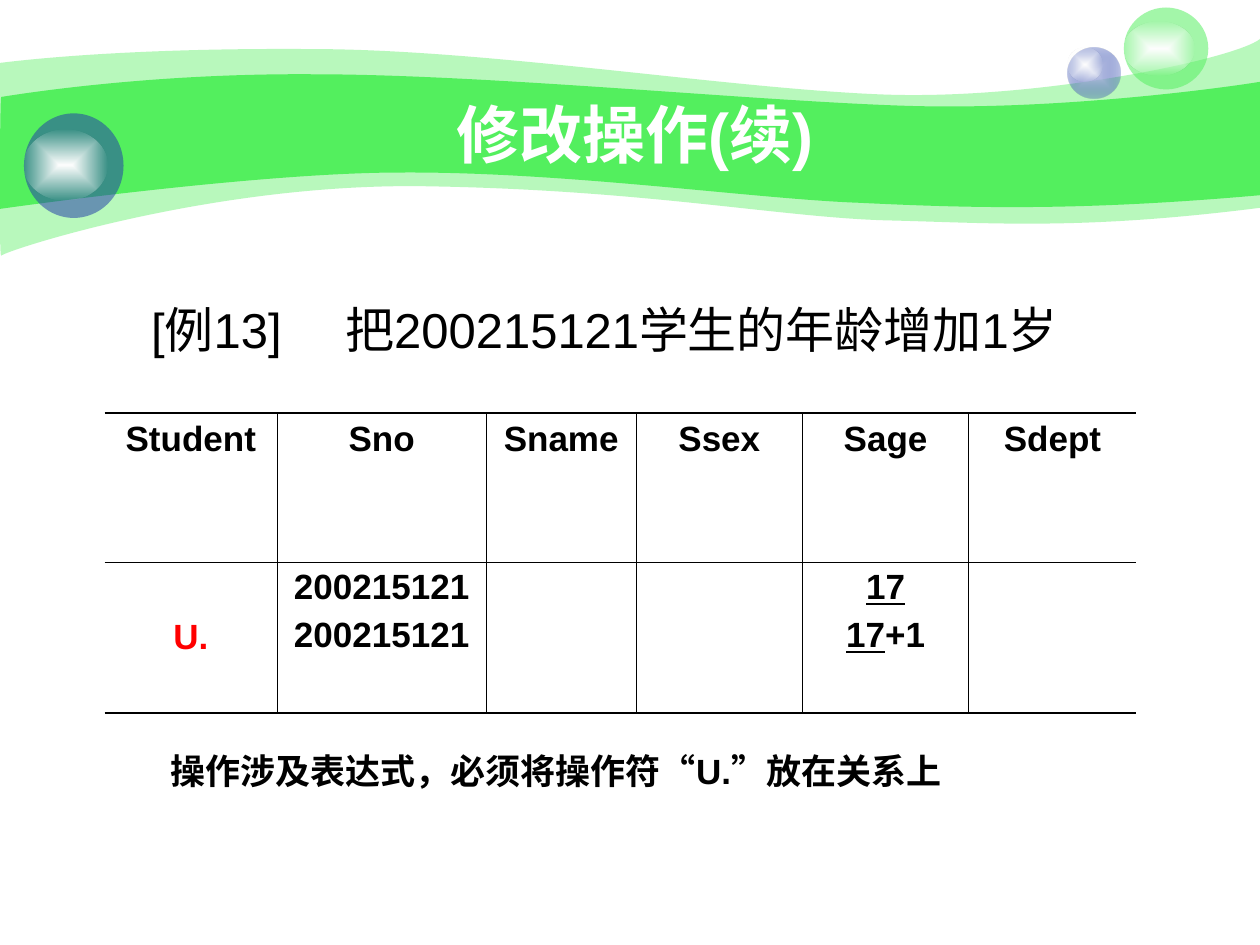
import pptx
import pptx.util
import pptx.dml.color
import pptx.enum.shapes
import pptx.enum.text
import pptx.oxml
import pptx.oxml.ns

Inches = pptx.util.Inches
Pt = pptx.util.Pt
ALIGN = pptx.enum.text.PP_ALIGN
ANCHOR = pptx.enum.text.MSO_ANCHOR
NS = pptx.oxml.ns.nsdecls("a")
COLORS = {"green": "53EF5E", "blue": "233DA9", "pale": "C7CEE9",
          "white": "FFFFFF", "black": "000000", "red": "FF0000"}

OUTER_WAVE = [(0, 0.5), [
    [(0.24, 0.47), (1.07, 0.38), (2.47, 0.39)],
    [(3.86, 0.39), (5.75, 0.7), (6.99, 0.75)],
    [(8.22, 0.8), (9.8, 0.47), (10, 0.31)],
    [(10, 1.65)],
    [(8.58, 1.83), (7.87, 1.77), (7.05, 1.75)],
    [(6.22, 1.73), (5.15, 1.51), (3.43, 1.48)],
    [(1.72, 1.44), (0.04, 1.99), (0.01, 2.03)],
    [(-0.01, 2.08), (0, 0.75), (0, 0.5)]]]
INNER_WAVE = [(0.01, 0.77), [
    [(0.02, 0.77), (1.1, 0.58), (2.48, 0.59)],
    [(3.86, 0.59), (5.95, 0.8), (7.18, 0.84)],
    [(8.41, 0.88), (9.76, 0.69), (10, 0.65)],
    [(10, 1.55)],
    [(8.53, 1.68), (7.65, 1.65), (6.82, 1.61)],
    [(5.99, 1.58), (4.47, 1.36), (3.17, 1.37)],
    [(2.03, 1.37), (-0.02, 1.66), (-0.01, 1.66)],
    [(0, 1.66), (0, 0.77), (0.01, 0.77)]]]


class Deck:
    font = "Arial"

    def __init__(self, prs):
        self.s = prs.slides.add_slide(prs.slide_layouts[5])

    def paint(self, sp, color, alpha=100):
        sp.shadow.inherit = False
        sp.line.fill.background()
        sp.fill.solid()
        sp.fill.fore_color.rgb = pptx.dml.color.RGBColor.from_string(COLORS[color])
        if alpha < 100:
            clr = sp._element.spPr.find(".//" + pptx.oxml.ns.qn("a:srgbClr"))
            clr.append(pptx.oxml.parse_xml(f'<a:alpha {NS} val="{alpha * 1000}"/>'))

    def wave(self, start, segments, color, alpha=100):
        builder = self.s.shapes.build_freeform(*map(Inches, start))
        builder.add_line_segments(
            [(Inches(x), Inches(y)) for segment in segments for x, y in segment])
        sp = builder.convert_to_shape()
        lines = iter(sp._element.spPr.findall(".//" + pptx.oxml.ns.qn("a:lnTo")))
        for segment in segments:
            parts = [next(lines) for _ in segment]
            if len(parts) == 3:
                curve = pptx.oxml.parse_xml(f"<a:cubicBezTo {NS}/>")
                parts[0].addprevious(curve)
                for part in parts:
                    curve.append(part[0])
                    part.getparent().remove(part)
        self.paint(sp, color, alpha)

    def ball(self, box, color, alpha):
        sp = self.s.shapes.add_shape(pptx.enum.shapes.MSO_SHAPE.OVAL, *map(Inches, box))
        self.paint(sp, color, alpha)
        return sp

    def glow(self, box, inner, outer, alpha):
        sp = self.ball(box, inner, 100)
        solid = sp._element.spPr.find(pptx.oxml.ns.qn("a:solidFill"))
        grad = pptx.oxml.parse_xml(
            f'<a:gradFill {NS} rotWithShape="1"><a:gsLst>'
            f'<a:gs pos="0"><a:srgbClr val="{COLORS[inner]}"/></a:gs>'
            f'<a:gs pos="100000"><a:srgbClr val="{COLORS[outer]}">'
            f'<a:alpha val="{alpha * 1000}"/></a:srgbClr></a:gs></a:gsLst>'
            '<a:path path="rect"><a:fillToRect l="50000" t="50000" r="50000" b="50000"/>'
            '</a:path></a:gradFill>')
        sp._element.spPr.replace(solid, grad)

    def run(self, p, text, size, color="black", bold=False, underline=False):
        r = p.add_run()
        r.text = text
        r.font.name = self.font
        r.font.size = Pt(size)
        r.font.bold = bold
        r.font.underline = underline
        r.font.color.rgb = pptx.dml.color.RGBColor.from_string(COLORS[color])

    def title(self, text, box):
        sp = self.s.shapes.title
        self.s.shapes._spTree.append(sp._element)
        sp.left, sp.top, sp.width, sp.height = map(Inches, box)
        tf = sp.text_frame
        tf.auto_size = pptx.enum.text.MSO_AUTO_SIZE.NONE
        tf.vertical_anchor = ANCHOR.MIDDLE
        p = tf.paragraphs[0]
        p.alignment = ALIGN.CENTER
        self.run(p, text, 36, "white", bold=True)

    def body(self, box, example, note):
        tf = self.s.shapes.add_textbox(*map(Inches, box)).text_frame
        tf.word_wrap = True
        tf.margin_left = Inches(0.7)
        p = tf.paragraphs[0]
        p.line_spacing = 1.7
        p._p.get_or_add_pPr().append(pptx.oxml.parse_xml(
            f'<a:tabLst {NS}><a:tab pos="{Inches(1.54)}" algn="l"/></a:tabLst>'))
        self.run(p, example, 28)
        p = tf.add_paragraph()
        p.line_spacing = 1.7
        p.space_before = Pt(207)
        p._p.get_or_add_pPr().set("marL", str(Inches(0.15)))
        self.run(p, note, 20, bold=True)

    def borders(self, cell, widths):
        for i, (side, width) in enumerate(widths.items()):
            fill = (f'<a:solidFill><a:srgbClr val="{COLORS["black"]}"/></a:solidFill>'
                    if width else "<a:noFill/>")
            cell._tc.get_or_add_tcPr().insert(i, pptx.oxml.parse_xml(
                f'<a:ln{side} {NS} w="{Pt(width)}">{fill}</a:ln{side}>'))

    def table(self, at, widths, heights, rows):
        frame = self.s.shapes.add_table(len(rows), len(widths), *map(
            Inches, (*at, sum(widths), sum(heights))))
        table = frame.table
        table.first_row = table.horz_banding = False
        for column, width in zip(table.columns, widths):
            column.width = Inches(width)
        for row, height in zip(table.rows, heights):
            row.height = Inches(height)
        thin, thick = 0.45, 1.08
        last_row, last_col = len(rows) - 1, len(widths) - 1
        for i, row in enumerate(rows):
            for j, lines in enumerate(row):
                cell = table.cell(i, j)
                cell.fill.background()
                self.borders(cell, {"L": thin if j else 0,
                                    "R": thin if j < last_col else 0,
                                    "T": thin if i else thick,
                                    "B": thin if i < last_row else thick})
                if i and not j:
                    cell.vertical_anchor = ANCHOR.MIDDLE
                tf = cell.text_frame
                for n, runs in enumerate(lines):
                    p = tf.add_paragraph() if n else tf.paragraphs[0]
                    p.alignment = ALIGN.CENTER
                    if n:
                        p.space_before = Pt(5)
                    for text, style in runs:
                        self.run(p, text, 20, bold=True, **style)


def main():
    prs = pptx.Presentation()
    prs.slide_width, prs.slide_height = Inches(10), Inches(7.5)
    deck = Deck(prs)

    deck.wave(*OUTER_WAVE, "green", 41)
    deck.wave(*INNER_WAVE, "green")
    deck.glow((8.47, 0.38, 0.42, 0.4), "pale", "blue", 31)
    deck.glow((8.47, 0.38, 0.28, 0.27), "white", "white", 0)
    deck.ball((8.92, 0.06, 0.67, 0.65), "green", 53)
    deck.glow((8.92, 0.17, 0.56, 0.43), "white", "white", 0)
    deck.ball((0.19, 0.9, 0.79, 0.83), "blue", 53)
    deck.glow((0.19, 1.03, 0.66, 0.56), "white", "white", 0)

    deck.title("修改操作(续)", (1, 0.75, 8.08, 0.62))
    deck.body((0.5, 2, 8.99, 4.92), "[例13]\t把200215121学生的年龄增加1岁",
              "操作涉及表达式，必须将操作符“U.”放在关系上")

    headings = ["Student", "Sno", "Sname", "Ssex", "Sage", "Sdept"]
    under = {"underline": True}
    deck.table((0.83, 3.28), [1.37, 1.66, 1.19, 1.32, 1.32, 1.33], [1.18, 1.2], [
        [[[(heading, {})]] for heading in headings],
        [[[("U.", {"color": "red"})]],
         [[("200215121", {})]] * 2,
         [], [],
         [[("17", under)], [("17", under), ("+1", {})]],
         []]])
    prs.save("out.pptx")


if __name__ == "__main__":
    main()
